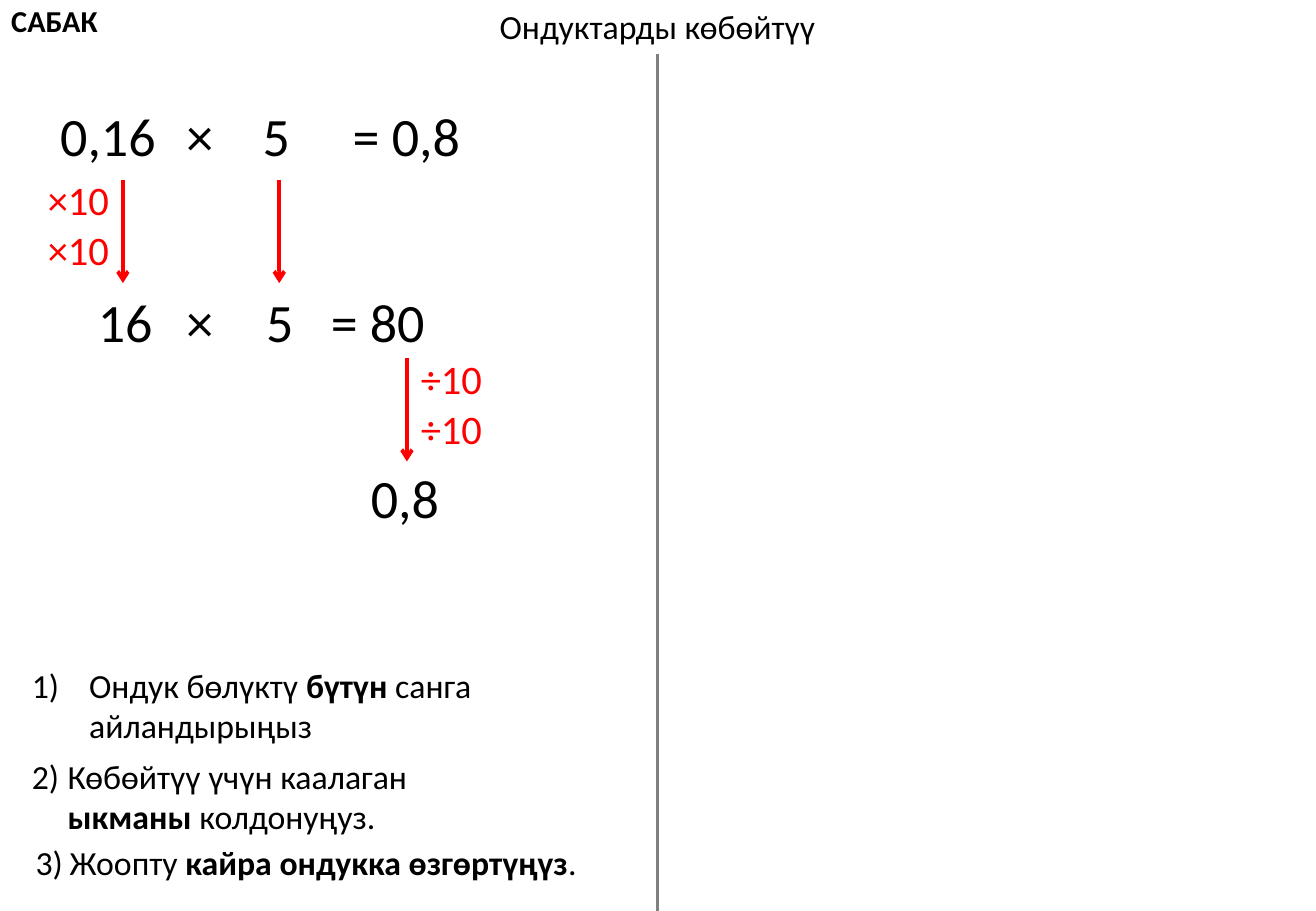
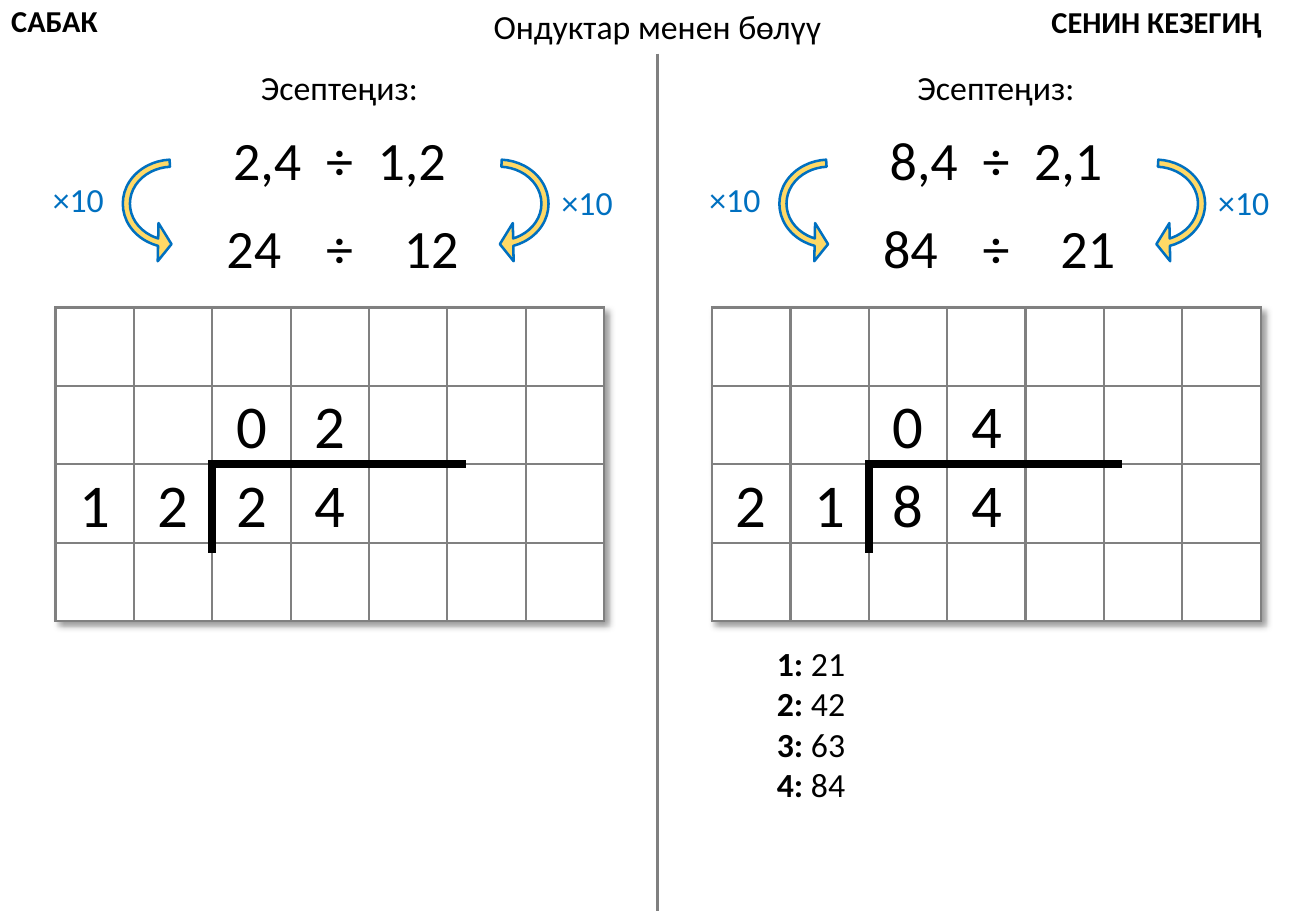
from dataclasses import dataclass

from lxml import etree
from pptx import Presentation
from pptx.dml.color import RGBColor
from pptx.enum.shapes import MSO_CONNECTOR, MSO_SHAPE
from pptx.enum.text import MSO_ANCHOR, MSO_AUTO_SIZE, PP_ALIGN
from pptx.oxml.ns import qn
from pptx.util import Cm, Pt

LEFT, CENTER = PP_ALIGN.LEFT, PP_ALIGN.CENTER
TOP, MIDDLE = MSO_ANCHOR.TOP, MSO_ANCHOR.MIDDLE
NO_FIT, FIT_SHAPE = MSO_AUTO_SIZE.NONE, MSO_AUTO_SIZE.SHAPE_TO_FIT_TEXT
STRAIGHT, CURVED_ARROW = MSO_CONNECTOR.STRAIGHT, MSO_SHAPE.CIRCULAR_ARROW


@dataclass(frozen=True)
class Theme:
    font: str = "Calibri"
    black: str = "000000"
    white: str = "FFFFFF"
    gray: str = "808080"
    red: str = "FF0000"
    blue: str = "0070C0"
    yellow: str = "FFD966"
    corner: int = 18
    text: int = 20
    factor: int = 24
    number: int = 32
    digit: int = 36


theme = Theme()


def style_span(span, size, color=theme.black, bold=False):
    span.font.color.rgb = RGBColor.from_string(color)
    values = {"name": theme.font, "size": Pt(size), "bold": bold}
    for name, value in values.items():
        setattr(span.font, name, value)


def add_label(page, text, x, y, width, size, color=theme.black, bold=False):
    """Add one line of text centred on the point x, y (in cm)."""
    height = 0.25 + 0.043 * size
    box = page.shapes.add_textbox(Cm(x - width / 2), Cm(y - height / 2), Cm(width), Cm(height))
    frame = box.text_frame
    frame.word_wrap = False
    frame.auto_size = FIT_SHAPE
    para = frame.paragraphs[0]
    para.alignment = CENTER
    span = para.add_run()
    span.text = text
    style_span(span, size, color, bold)


deck = Presentation()
deck.slide_width, deck.slide_height = Cm(27.52), Cm(19.05)
lines = []  # page, x1, y1, x2, y2, colour, width, arrowhead

# Shared frame: title, corner label, divider
pages = []
for title in ("Ондуктарды көбөйтүү", "Ондуктар менен бөлүү"):
    page = deck.slides.add_slide(deck.slide_layouts[1])
    pages.append(page)
    box = page.shapes.title
    box.left, box.top, box.width, box.height = Cm(10), Cm(0), Cm(7.5), Cm(1.1)
    frame = box.text_frame
    frame.auto_size = NO_FIT
    frame.vertical_anchor = MIDDLE
    frame.paragraphs[0].alignment = CENTER
    span = frame.paragraphs[0].add_run()
    span.text = title
    style_span(span, theme.text)
    add_label(page, "САБАК", 1.14, 0.43, 2.57, theme.corner, bold=True)
    lines.append((page, 13.75, 1.12, 13.75, 19.05, theme.gray, 2.25, False))
multiplication, division = pages

# Multiplication: worked example
equation_parts = [
    ("0,16", 2.26, 2.84, 2.54), ("×", 4.18, 2.84, 1.1),
    ("5", 5.78, 2.84, 1.1), ("= 0,8", 8.5, 2.84, 2.8),
    ("16", 2.62, 6.72, 1.68), ("×", 4.18, 6.72, 1.1),
    ("5", 5.85, 6.72, 1.1), ("= 80", 7.9, 6.72, 2.5),
    ("0,8", 8.47, 10.41, 1.96),
]
for text, x, y, width in equation_parts:
    add_label(multiplication, text, x, y, width, theme.number)
for text, x, top in (("×10", 1.64, 4.17), ("÷10", 9.44, 7.92)):
    for row in range(2):
        add_label(multiplication, text, x, top + 1.05 * row, 1.8, theme.factor, theme.red)
for x, top in ((2.57, 3.76), (5.84, 3.76), (8.51, 7.49)):
    lines.append((multiplication, x, top, x, top + 2.16, theme.red, 2.25, True))

# Division: the same panel on both halves
add_label(division, "СЕНИН КЕЗЕГИҢ", 24.19, 0.46, 5.8, theme.corner, bold=True)
panel_step, cell, columns, rows = 13.73, 1.64, 7, 4
grid_left, grid_top = 1.16, 6.43
panels = [
    (("2,4", "1,2"), ("24", "12"), "02", "1224"),
    (("8,4", "2,1"), ("84", "21"), "04", "2184"),
]
for index, (decimals, wholes, quotient, dividing) in enumerate(panels):
    shift = index * panel_step
    left = grid_left + shift
    add_label(division, "Эсептеңиз:", 7.1 + shift, 1.83, 3.84, theme.text)
    for (first, second), y, first_x, second_x in ((decimals, 3.33, 5.59, 8.61),
                                                  (wholes, 5.18, 5.31, 9.02)):
        for text, x in ((first, first_x), ("÷", 7.1), (second, second_x)):
            add_label(division, text, x + shift, y, 2.2, theme.number)

    for arrow_x, flipped, factor_x, factor_y in ((9.19, False, 12.28, 4.24),
                                                 (2.36, True, 1.64, 4.17)):
        arrow = division.shapes.add_shape(CURVED_ARROW, Cm(arrow_x + shift), Cm(2.9),
                                          Cm(2.49), Cm(2.72))
        arrow.shadow.inherit = False
        arrow.rotation = 90
        if flipped:
            arrow._element.spPr.xfrm.set("flipV", "1")
        for number, value in enumerate((0.06, 11.42, 203.85, 110.16, 0.16)):
            arrow.adjustments[number] = value
        arrow.fill.solid()
        arrow.fill.fore_color.rgb = RGBColor.from_string(theme.yellow)
        arrow.line.color.rgb = RGBColor.from_string(theme.blue)
        arrow.line.width = Pt(1.5)
        add_label(division, "×10", factor_x + shift, factor_y, 1.6, theme.text, theme.blue)

    table = division.shapes.add_table(rows, columns, Cm(left), Cm(grid_top),
                                      Cm(cell * columns), Cm(cell * rows)).table
    table.first_row = table.horz_banding = False
    effects = etree.Element(qn("a:effectLst"))
    shadow = etree.SubElement(effects, qn("a:outerShdw"), blurRad="50800", dist="38100",
                              dir="2700000", algn="tl", rotWithShape="0")
    shade = etree.SubElement(shadow, qn("a:srgbClr"), val=theme.black)
    etree.SubElement(shade, qn("a:alpha"), val="40000")
    table._tbl.tblPr.insert(0, effects)
    for square in table.iter_cells():
        properties = square._tc.get_or_add_tcPr()
        for side in ("a:lnL", "a:lnR", "a:lnT", "a:lnB"):
            border = etree.SubElement(properties, qn(side), w=str(Pt(1.5)))
            paint = etree.SubElement(border, qn("a:solidFill"))
            etree.SubElement(paint, qn("a:srgbClr"), val=theme.gray)
        square.fill.solid()
        square.fill.fore_color.rgb = RGBColor.from_string(theme.white)

    for digits, row, first_column in ((quotient, 1, 2), (dividing, 2, 0)):
        for column, digit in enumerate(digits, first_column):
            add_label(division, digit, left + (column + 0.5) * cell,
                      grid_top + (row + 0.5) * cell, 1.17, theme.digit)
    corner_x, corner_y = left + 2 * cell, grid_top + 2 * cell
    lines.append((division, corner_x - 0.08, corner_y, corner_x + 5.3, corner_y,
                  theme.black, 4.5, False))
    lines.append((division, corner_x, corner_y, corner_x, corner_y + 1.85,
                  theme.black, 4.5, False))

# Lists: margin, indent, space before, start number, lines of (text, bold)
steps = [
    (1.2, -1.2, 0, 1, [[("Ондук бөлүктү ", False), ("бүтүн", True), (" санга", False)],
                       [("айландырыңыз", False)]]),
    (0.75, -0.75, 6, 2, [[("Көбөйтүү үчүн каалаган", False)],
                         [("ыкманы", True), (" колдонуңуз.", False)]]),
    (0.79, -0.71, 3, 3, [[("Жоопту ", False), ("кайра ондукка өзгөртүңүз", True),
                          (".", False)]]),
]
multiples = [(0, 0, 0, None, [[(f"{count}:", True), (f" {21 * count}", False)]])
             for count in range(1, 5)]
for page, place, alignment, items in (
        (multiplication, (0.41, 13.77, 12.6, 4.8), LEFT, steps),
        (division, (15.98, 13.31, 1.96, 3.68), CENTER, multiples)):
    box = page.placeholders[1]
    box.left, box.top, box.width, box.height = [Cm(length) for length in place]
    frame = box.text_frame
    frame.auto_size = NO_FIT
    frame.vertical_anchor = TOP
    for index, (margin, indent, before, start, text_lines) in enumerate(items):
        para = frame.add_paragraph() if index else frame.paragraphs[0]
        properties = para._p.get_or_add_pPr()
        properties.set("marL", str(Cm(margin)))
        properties.set("indent", str(Cm(indent)))
        if start:
            etree.SubElement(properties, qn("a:buFont"), typeface=theme.font)
            etree.SubElement(properties, qn("a:buAutoNum"), type="arabicParenR",
                             startAt=str(start))
        else:
            etree.SubElement(properties, qn("a:buNone"))
        para.alignment = alignment
        para.space_before = Pt(before)
        for line_number, spans in enumerate(text_lines):
            if line_number:
                para.add_line_break()
                etree.SubElement(para._p[-1], qn("a:rPr"), sz=str(theme.text * 100))
            for text, bold in spans:
                span = para.add_run()
                span.text = text
                style_span(span, theme.text, bold=bold)

for page, x1, y1, x2, y2, color, width, has_head in lines:
    line = page.shapes.add_connector(STRAIGHT, Cm(x1), Cm(y1), Cm(x2), Cm(y2))
    line.line.color.rgb = RGBColor.from_string(color)
    line.line.width = Pt(width)
    if has_head:
        etree.SubElement(line.line._get_or_add_ln(), qn("a:tailEnd"), type="arrow")
    etree.SubElement(line._element.spPr, qn("a:effectLst"))

deck.save("out.pptx")
